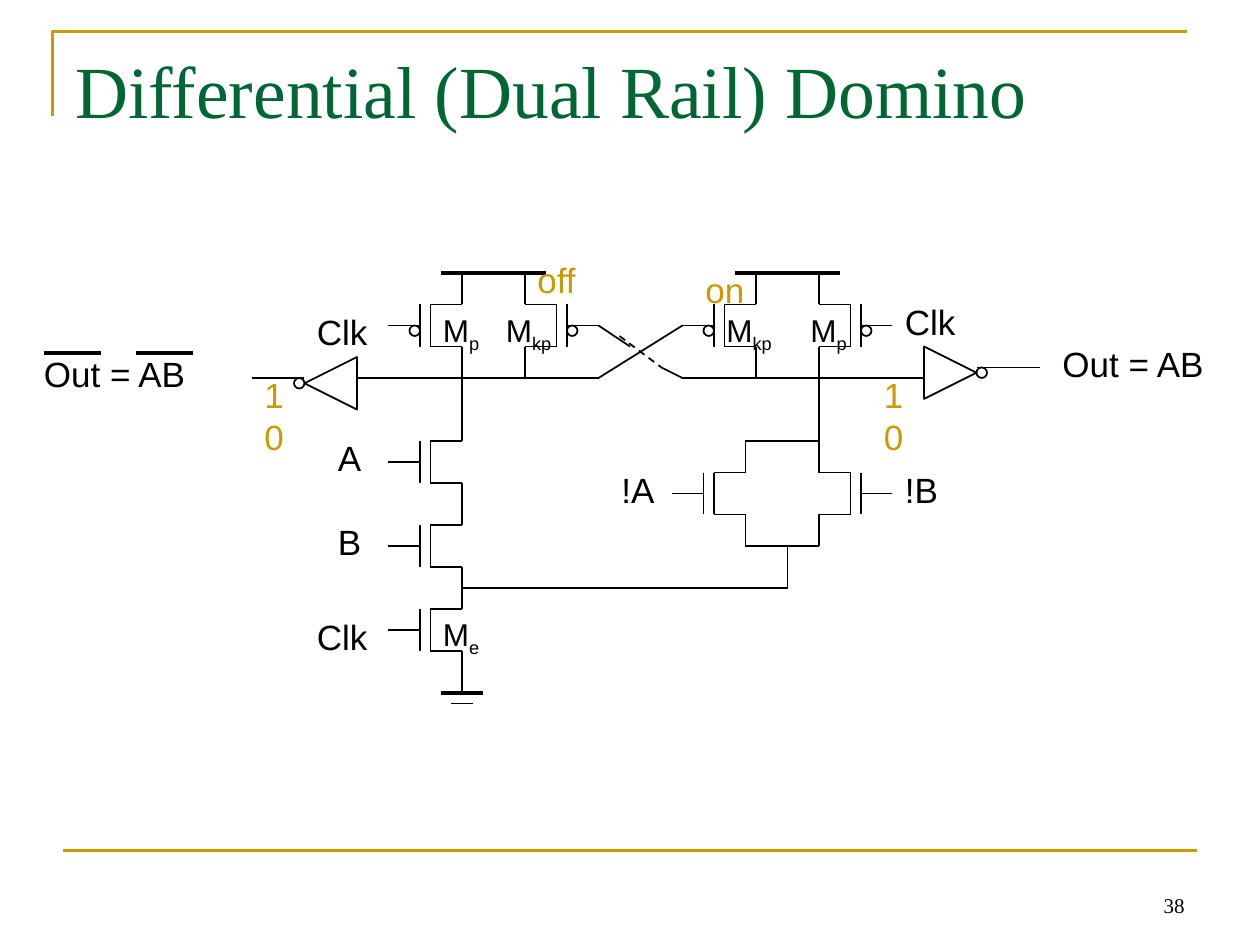
from lxml import etree
from pptx import Presentation
from pptx.dml.color import RGBColor
from pptx.enum.dml import MSO_LINE
from pptx.enum.shapes import MSO_CONNECTOR, MSO_SHAPE
from pptx.enum.text import MSO_ANCHOR, PP_ALIGN
from pptx.oxml.ns import qn
from pptx.util import Cm, Pt

STRAIGHT = MSO_CONNECTOR.STRAIGHT
DASH = MSO_LINE.DASH
OVAL, TRIANGLE = MSO_SHAPE.OVAL, MSO_SHAPE.ISOSCELES_TRIANGLE
BOTTOM, RIGHT = MSO_ANCHOR.BOTTOM, PP_ALIGN.RIGHT
BLACK, GOLD, GREEN = "000000", "CC9900", "006633"
GRID = 2.54 / 12
color = RGBColor.from_string


def line(shapes, x1, y1, x2, y2, width=1, rgb=BLACK):
    ends = [Cm(v * GRID) for v in (x1, y1, x2, y2)]
    sp = shapes.add_connector(STRAIGHT, *ends)
    sp.line.width = Pt(width)
    sp.line.color.rgb = color(rgb)
    etree.SubElement(sp._element.spPr, qn("a:effectLst"))
    return sp


def text(x, y, w, h, content, size=20, rgb=BLACK, sub="", font="Arial", wrap=False):
    box = [Cm(v * GRID) for v in (x, y, w, h)]
    tf = s.shapes.add_textbox(*box).text_frame
    tf.word_wrap = wrap
    tf.text = content
    if sub:
        r = tf.paragraphs[0].add_run()
        r.text = sub
        r._r.get_or_add_rPr().set("baseline", "-25000")
    for p in tf.paragraphs:
        for r in p.runs:
            r.font.size = Pt(size)
            r.font.name = font
            r.font.color.rgb = color(rgb)
    return tf


prs = Presentation()
prs.slide_width, prs.slide_height = Cm(25.4), Cm(19.05)
s = prs.slides.add_slide(prs.slide_layouts[6])

corner = s.shapes.build_freeform(Cm(1.06), Cm(2.33))
corner.add_line_segments([(Cm(1.06), Cm(0.63)), (Cm(23.92), Cm(0.63))], close=False)
sp = corner.convert_to_shape()
sp.shadow.inherit = False
sp.fill.background()
sp.line.color.rgb = color(GOLD)
sp.line.width = Pt(1.5)
line(s.shapes, 6, 81, 114, 81, 1.5, GOLD)

title = text(6, 3.6, 108, 15, "Differential (Dual Rail) Domino", 42, GREEN,
             font="Times New Roman", wrap=True)
title.margin_top = Cm(0.14)

outlines = []
transistors = [
    (44, 29, -1, True), (50, 29, 1, True), (72, 29, -1, True), (78, 29, 1, True),
    (44, 42, -1, False), (44, 50, -1, False), (44, 58, -1, False),
    (71, 45, -1, False), (78, 45, 1, False),
]
for x, y, side, pmos in transistors:
    group = s.shapes.add_group_shape().shapes
    channel, gate, lead = x + 3 * side, x + 4 * side, x + 7 * side
    for ends in [
        (channel, y, x, y), (channel, y, channel, y + 4), (channel, y + 4, x, y + 4),
        (gate, y, gate, y + 4), (x, y + 4, x, y + 7),
        (lead, y + 2, gate, y + 2), (x, y - 3, x, y),
    ]:
        line(group, *ends)
    if pmos:
        outlines.append((group, OVAL, min(gate, gate + side), y + 2, 1, 0))

for x, y, bubble_x, rotation in [(88, 33, 93, 90), (29, 34, 28, 270)]:
    group = s.shapes.add_group_shape().shapes
    outlines.append((group, TRIANGLE, x, y, 5, rotation))
    outlines.append((group, OVAL, bubble_x, y + 2, 1, rotation))

for group, kind, x, y, size, rotation in outlines:
    box = [Cm(v * GRID) for v in (x, y, size, size)]
    sp = group.add_shape(kind, *box)
    sp.rotation = rotation
    sp.shadow.inherit = False
    sp.fill.background()
    sp.line.color.rgb = color(BLACK)
    sp.line.width = Pt(1)

ground = s.shapes.add_group_shape().shapes
line(ground, 42, 66, 46, 66, 2.25)
line(ground, 43, 67, 45, 67)
line(ground, 44, 63, 44, 66)

wires = [
    (44, 35, 44, 40), (34, 36, 57, 36), (71, 52, 78, 52), (44, 56, 75, 56),
    (75, 52, 75, 56), (71, 42, 78, 42), (78, 35, 78, 43), (65, 36, 88, 36),
    (24, 36, 29, 36), (93, 35, 99, 35),
    (65, 31, 57, 36), (57, 31, 60, 33), (63, 35, 65, 36),
]
for ends in wires:
    line(s.shapes, *ends)
line(s.shapes, 59, 32, 63, 35).line.dash_style = DASH

rails = [(42, 26, 52, 26), (70, 26, 80, 26)]
overlines = [(4.2, 33.6, 9.6, 33.6), (13, 33.6, 18.4, 33.6)]
for ends in rails + overlines:
    line(s.shapes, *ends, 2.25)

signals = [
    ("A", 31, 41, 4.7), ("B", 31, 49, 4.7), ("!A", 58, 44, 6.2), ("!B", 85, 44, 6.2),
    ("Clk", 29, 58, 7.2), ("Clk", 29, 29, 7.2), ("Clk", 85, 28, 7.2),
    ("Out = AB", 3, 33, 16), ("Out = AB", 100, 32, 16),
]
for name, x, y, w in signals:
    text(x, y, w, 5.2, name)

for sub, x, y, w in [("e", 41, 58, 6), ("p", 41, 29, 6), ("kp", 47, 29, 7.1),
                     ("kp", 68, 29, 7.1), ("p", 76, 29, 6)]:
    text(x, y, w, 4.8, "M", 18, sub=sub)

for state, x, y, w, h in [("1\n0", 24, 35, 14.4, 9.2), ("1\n0", 83, 35, 16.2, 9.2),
                          ("on", 66, 25, 6.1, 5.2), ("off", 50, 24, 6.1, 5.2)]:
    text(x, y, w, h, state, rgb=GOLD, wrap=True)

number = text(86, 82, 28, 6, "38", 12, font="Times New Roman", wrap=True)
number.vertical_anchor = BOTTOM
number.paragraphs[0].alignment = RIGHT

prs.save("out.pptx")
